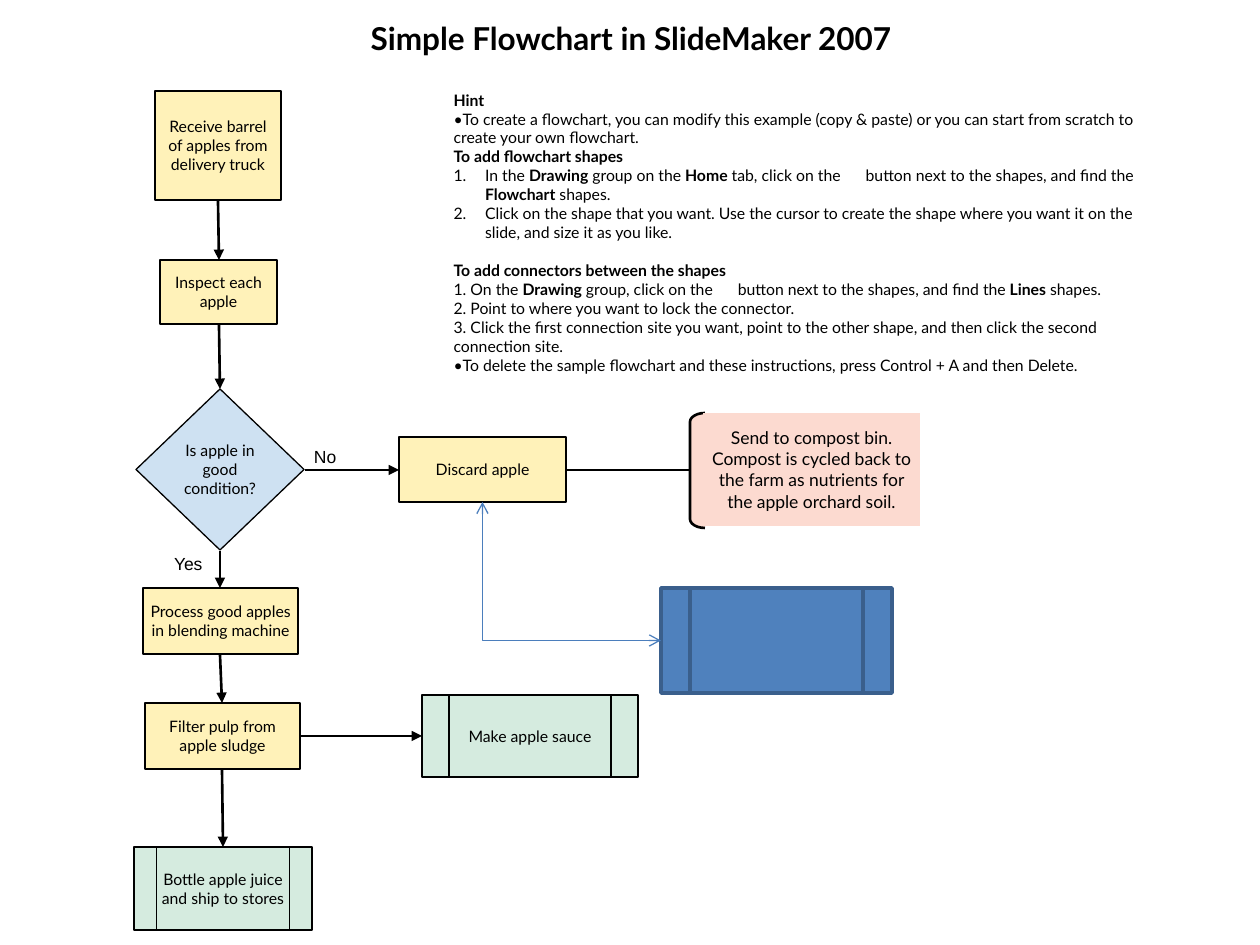
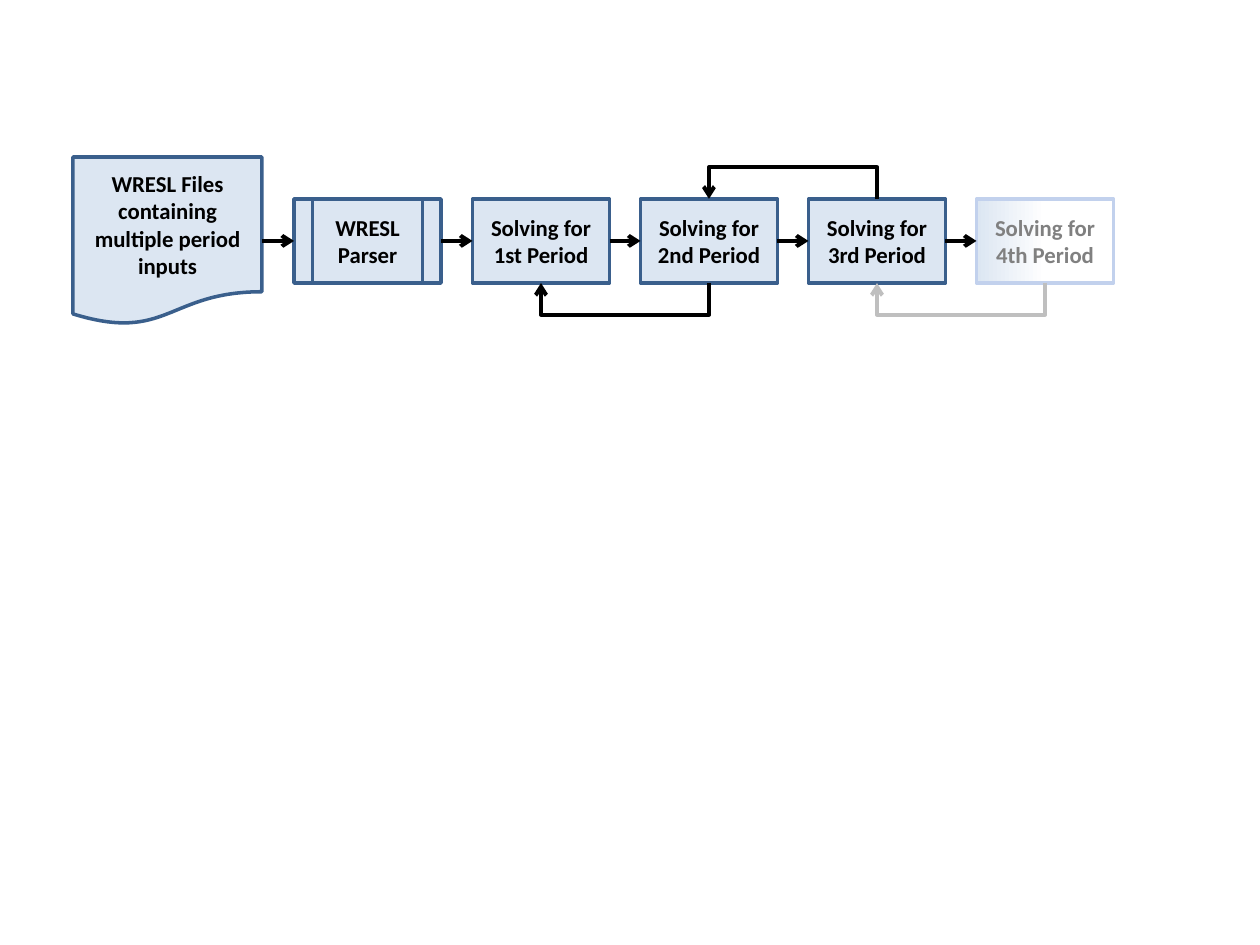
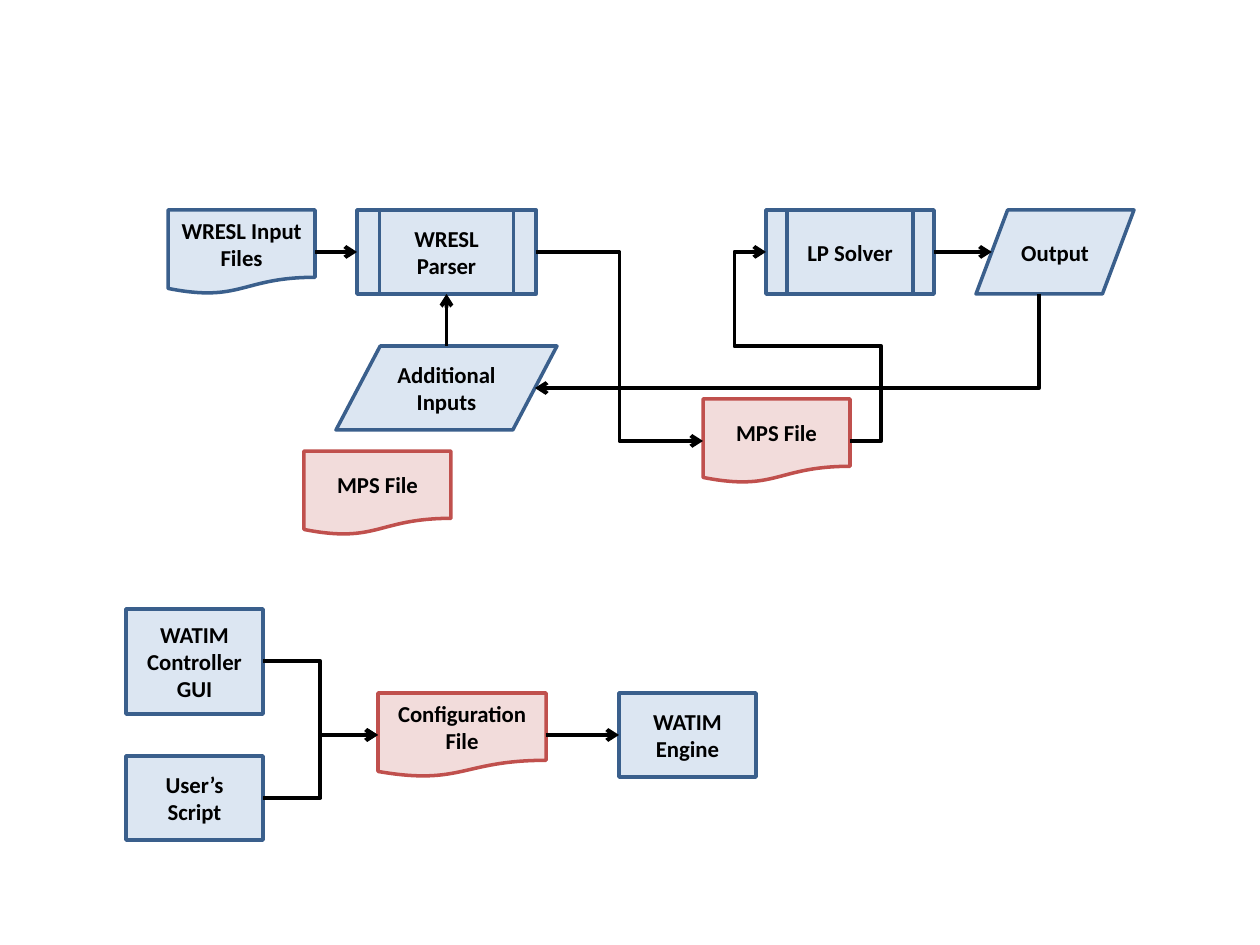
from lxml import etree
from pptx import Presentation, util as u
from pptx.dml.color import RGBColor
from pptx.enum import shapes, text
from pptx.oxml.ns import qn

SCALE = 914400 / 126  # EMU per pixel
SLIVER = 0.2          # thickness of a connector whose ends are level
DETOUR = 32           # how far a loop swings out
KIND = shapes.MSO_SHAPE
COLORS = {
    "black": "000000", "white": "FFFFFF", "grey": "808080", "light grey": "BFBFBF",
    "yellow": "FFF2B9", "green": "D5EBDF", "sky": "CEE1F2", "salmon": "FCDAD0",
    "blue": "4F81BD", "navy": "3A5F8C", "pale blue": "DCE6F2", "faded": "C2D1ED",
    "wire": "4B7EBC", "pink": "F2DCDB", "red": "C0504D",
}
# Connection sites: index, then place as a share of width and height
SITES = {"top": (0, 0.5, 0), "left": (1, 0, 0.5),
         "bottom": (2, 0.5, 1), "right": (3, 1, 0.5)}
SLANTED_SITES = {"top": (1, 0.5, 0), "left": (2, 0.1, 0.5),
                 "bottom": (3, 0.4, 1), "right": (5, 0.9, 0.5)}


def px(*values):
    return [u.Emu(round(value * SCALE)) for value in values]


def rgb(name):
    return RGBColor.from_string(COLORS[name])


def set_font(para, font, size, bold=None, color="black"):
    para.font.name, para.font.size, para.font.bold = font, u.Pt(size), bold
    para.font.color.rgb = rgb(color)


def set_frame(frame, insets, anchor=text.MSO_ANCHOR.MIDDLE):
    frame.word_wrap = True
    frame.auto_size = text.MSO_AUTO_SIZE.NONE
    frame.vertical_anchor = anchor
    (frame.margin_left, frame.margin_top,
     frame.margin_right, frame.margin_bottom) = px(*insets)


def place(item, box):
    item.left, item.top, item.width, item.height = px(*box)


# Shapes and lines

def add_box(page, kind, box, words="", fill="yellow", line="black", weight=0.75,
            font="Lato", size=9, bold=None, color="black", insets=(4, 3, 4, 3)):
    shape = page.shapes.add_shape(kind, *px(*box))
    shape.shadow.inherit = False
    shape.fill.solid()
    shape.fill.fore_color.rgb = rgb(fill)
    if line:
        shape.line.color.rgb = rgb(line)
        shape.line.width = u.Pt(weight)
    else:
        shape.line.fill.background()
    if words:
        set_frame(shape.text_frame, insets)
        para = shape.text_frame.paragraphs[0]
        para.text = words
        para.alignment = text.PP_ALIGN.CENTER
        set_font(para, font, size, bold, color)
    return shape


def add_node(page, kind, box, words, fill="pale blue", line="navy", color="black"):
    return add_box(page, kind, box, words, fill, line, 2, "Calibri", 13, True, color,
                   (12.6, 6.3, 12.6, 6.3))


def add_document(page, box, words):
    return add_node(page, KIND.FLOWCHART_DOCUMENT, box, words, "pink", "red")


def style_line(line, color, weight, head=None, tail=None):
    line.line.color.rgb = rgb(color)
    line.line.width = u.Pt(weight)
    outline = line.line._get_or_add_ln()
    for tag, arrow in (("a:headEnd", head), ("a:tailEnd", tail)):
        if arrow:
            etree.SubElement(outline, qn(tag), type=arrow)
    etree.SubElement(line._element.spPr, qn("a:effectLst"))


def add_line(page, start, end, weight=1.5, tail="triangle"):
    line = page.shapes.add_connector(shapes.MSO_CONNECTOR.STRAIGHT, *px(*start, *end))
    style_line(line, "black", weight, tail=tail)


def find_site(shape, side):
    slanted = shape.auto_shape_type == KIND.FLOWCHART_DATA
    index, across, down = (SLANTED_SITES if slanted else SITES)[side]
    return (index, (shape.left + across * shape.width) / SCALE,
            (shape.top + down * shape.height) / SCALE)


def add_elbow(page, first, out, second, into, preset="bentConnector3", bends=(0.5,),
              color="black", weight=2.25, head=None):
    """Join two shapes; bends are shares of the connector's own length."""
    first_site, x1, y1 = find_site(first, out)
    second_site, x2, y2 = find_site(second, into)
    line = page.shapes.add_connector(shapes.MSO_CONNECTOR.ELBOW, 0, 0, 0, 0)
    frame = line._element.spPr.find(qn("a:xfrm"))
    width, height = abs(x2 - x1), abs(y2 - y1)
    if out in ("top", "bottom"):
        width, height = max(height, SLIVER), width
        frame.set("rot", str((90 if out == "bottom" else 270) * 60000))
        if (x2 > x1) == (out == "bottom"):
            frame.set("flipV", "1")
    else:
        if x2 < x1:
            frame.set("flipH", "1")
        if y2 < y1 - SLIVER:
            frame.set("flipV", "1")
    place(line, ((x1 + x2 - width) / 2, (y1 + y2 - height) / 2, width, height))

    geometry = line._element.spPr.find(qn("a:prstGeom"))
    geometry.set("prst", preset)
    guides = geometry.find(qn("a:avLst"))
    for number, bend in enumerate(bends, 1):
        etree.SubElement(guides, qn("a:gd"), name=f"adj{number}",
                         fmla=f"val {round(bend * 100000)}")
    ends = line._element.find(".//" + qn("p:cNvCxnSpPr"))
    for tag, shape, site in (("a:stCxn", first, first_site),
                             ("a:endCxn", second, second_site)):
        etree.SubElement(ends, qn(tag), id=str(shape.shape_id), idx=str(site))
    style_line(line, color, weight, head, "arrow")


# Slide 1: apple flowchart

def add_title(page, box, words):
    title = page.shapes.title
    place(title, box)
    set_frame(title.text_frame, (6, 5, 6, 5))
    para = title.text_frame.paragraphs[0]
    para.text = words
    para.alignment = text.PP_ALIGN.CENTER
    set_font(para, "Lato", 18, True)


def add_hints(page, box):
    # Stars switch bold on and off, a tilde leaves room for a button
    hints = [
        "*Hint*",
        "•To create a flowchart, you can modify this example (copy & paste) or you can "
        "start from scratch to create your own flowchart.",
        "*To add flowchart shapes*",
        "#In the *Drawing* group on the *Home* tab, click on the~button next to the "
        "shapes, and find the *Flowchart* shapes.",
        "#Click on the shape that you want. Use the cursor to create the shape where you "
        "want it on the slide, and size it as you like.",
        "*To add connectors between the shapes*",
        "1. On the *Drawing* group, click on the~button next to the shapes, and find "
        "the *Lines* shapes.",
        "2. Point to where you want to lock the connector.",
        "3. Click the first connection site you want, point to the other shape, and "
        "then click the second connection site.",
        "•To delete the sample flowchart and these instructions, press Control + A "
        "and then Delete.",
    ]
    body = page.placeholders[1]
    place(body, box)
    frame = body.text_frame
    set_frame(frame, (12.6, 6.3, 12.6, 6.3), text.MSO_ANCHOR.TOP)
    for number, hint in enumerate(hints):
        para = frame.add_paragraph() if number else frame.paragraphs[0]
        para.alignment = text.PP_ALIGN.LEFT
        para.space_before = u.Pt(11 if "connectors between" in hint else 0)
        set_font(para, "Lato", 9)
        numbered = hint.startswith("#")
        layout = para._p.get_or_add_pPr()
        indent = u.Inches(0.25) if numbered else 0
        layout.set("marL", str(indent))
        layout.set("indent", str(-indent))
        if numbered:
            bullet = etree.Element(qn("a:buAutoNum"), type="arabicPeriod")
        else:
            bullet = etree.Element(qn("a:buNone"))
        layout.find(qn("a:defRPr")).addprevious(bullet)
        for turn, chunk in enumerate(hint.lstrip("#").split("*")):
            for part_number, part in enumerate(chunk.split("~")):
                if part_number:
                    gap = para.add_run()
                    gap.text = " "
                    gap.font._element.set("spc", "1200")
                if part:
                    span = para.add_run()
                    span.text = part
                    span.font.bold = turn % 2 == 1


def add_label(page, box, words):
    label = page.shapes.add_textbox(*px(*box))
    set_frame(label.text_frame, (4, 4, 0, 0), text.MSO_ANCHOR.TOP)
    para = label.text_frame.paragraphs[0]
    para.text = words
    set_font(para, "Arial", 10)


def add_apple_chart(page, left, top):
    def at(x, y, *size):
        return (left + x, top + y, *size)

    # Main column
    process, routine = KIND.FLOWCHART_PROCESS, KIND.FLOWCHART_PREDEFINED_PROCESS
    add_box(page, process, at(21, 0, 126, 109),
            "Receive barrel of apples from delivery truck", insets=(6, 6, 6, 6))
    add_box(page, process, at(26, 169, 117, 64), "Inspect each apple")
    add_box(page, KIND.FLOWCHART_DECISION, at(2, 298, 168, 161),
            "Is apple in good condition?", "sky")
    add_box(page, process, at(9, 497, 155, 66), "Process good apples in blending machine")
    add_box(page, process, at(11, 612, 155, 66), "Filter pulp from apple sludge")
    add_box(page, routine, at(0, 756, 178, 83), "Bottle apple juice and ship to stores",
            "green")

    # Side branches
    discard = add_box(page, process, at(265, 346, 167, 65), "Discard apple")
    add_box(page, routine, at(288, 604, 216, 82), "Make apple sauce", "green")
    bracket = add_box(page, KIND.LEFT_BRACKET, at(556, 322, 15, 115),
                      fill="salmon", weight=1.5)
    bracket.adjustments[0] = 0.6
    add_box(page, process, at(569, 322, 217, 113),
            "Send to compost bin. Compost is cycled back to the farm as nutrients "
            "for the apple orchard soil.", "salmon", None, size=10, insets=(4, 4, 4, 4))
    spare = add_box(page, routine, at(527, 497, 231, 105), fill="blue", line="navy",
                    weight=2)

    # Arrows
    for start, end, weight in (
            ((84, 109), (85, 169), 1.5), ((85, 233), (86, 298), 1.5),
            ((86, 460), (86, 497), 0.75), ((86, 563), (88, 612), 1.5),
            ((88, 678), (89, 756), 1.5), ((171, 379), (265, 379), 0.75),
            ((166, 645), (288, 645), 1.5)):
        add_line(page, at(*start), at(*end), weight)
    add_line(page, at(432, 379), at(555, 379), tail=None)
    add_elbow(page, discard, "bottom", spare, "left", "bentConnector2", (),
              "wire", 0.75, "arrow")
    add_label(page, at(176, 351, 50, 25), "No")
    add_label(page, at(36, 458, 43, 25), "Yes")


# Slide 2: chain of periods

def add_period_chain(page, left, top):
    files = add_node(page, KIND.FLOWCHART_DOCUMENT, (left, top, 189, 168),
                     "WRESL Files containing multiple period inputs")
    parser = add_node(page, KIND.FLOWCHART_PREDEFINED_PROCESS,
                      (left + 221, top + 42, 147, 84), "WRESL Parser")
    periods = [add_node(page, KIND.FLOWCHART_PROCESS,
                        (left + 399.5 + 168 * step, top + 42, 137, 84),
                        f"Solving for {name} Period")
               for step, name in enumerate(("1st", "2nd", "3rd", "4th"))]

    # The last period fades out
    faded = periods[-1]
    faded.fill.gradient()
    faded.fill.gradient_angle = 0
    for stop, color, position in zip(faded.fill.gradient_stops,
                                     ("pale blue", "white"), (0, 0.5)):
        stop.color.rgb = rgb(color)
        stop.position = position
    faded.line.color.rgb = rgb("faded")
    faded.text_frame.paragraphs[0].font.color.rgb = rgb("grey")

    chain = [files, parser, *periods]
    for first, second in zip(chain, chain[1:]):
        add_elbow(page, first, "right", second, "left")
    for step, side, color in ((1, "bottom", "black"), (2, "top", "black"),
                              (3, "bottom", "light grey")):
        add_elbow(page, periods[step], side, periods[step - 1], side,
                  bends=(DETOUR / SLIVER,), color=color)


# Slide 3: solver loop and engine set-up

def add_solver_loop(page, left, top):
    def node(kind, x, y, width, words):
        return add_node(page, kind, (left + x, top + y, width, 84), words)

    routine, data = KIND.FLOWCHART_PREDEFINED_PROCESS, KIND.FLOWCHART_DATA
    output = node(data, 808, 0, 158, "Output")
    files = node(KIND.FLOWCHART_DOCUMENT, 0, 0, 147, "WRESL Input Files")
    solver = node(routine, 598, 0, 168, "LP Solver")
    inputs = node(data, 168, 136, 221, "Additional Inputs")
    parser = node(routine, 189, 0, 179, "WRESL Parser")
    model = add_document(page, (left + 535, top + 189, 147, 84), "MPS File")
    add_document(page, (left + 136, top + 241, 147, 84), "MPS File")

    add_elbow(page, parser, "right", model, "left")
    add_elbow(page, model, "right", solver, "left", "bentConnector5",
              (-0.375, 0.5, 1.375))
    add_elbow(page, solver, "right", output, "left")
    add_elbow(page, files, "right", parser, "left")
    add_elbow(page, inputs, "top", parser, "bottom")
    add_elbow(page, output, "bottom", inputs, "right", "bentConnector2", ())


def add_engine_setup(page, left, top):
    process = KIND.FLOWCHART_PROCESS
    controller = add_node(page, process, (left, top, 137, 105), "WATIM Controller GUI")
    script = add_node(page, process, (left, top + 147, 137, 84), "User’s Script")
    config = add_document(page, (left + 252, top + 84, 168, 84), "Configuration File")
    engine = add_node(page, process, (left + 493, top + 84, 137, 84), "WATIM Engine")
    for first, second in ((controller, config), (script, config), (config, engine)):
        add_elbow(page, first, "right", second, "left")


deck = Presentation()
deck.slide_width, deck.slide_height = px(1260, 945)

page = deck.slides.add_slide(deck.slide_layouts[1])
add_title(page, (300, 15, 662, 45), "Simple Flowchart in SlideMaker 2007")
add_hints(page, (441, 84, 708, 315))
add_apple_chart(page, 134, 91)

page = deck.slides.add_slide(deck.slide_layouts[6])
add_period_chain(page, 73, 157)

page = deck.slides.add_slide(deck.slide_layouts[6])
add_solver_loop(page, 168, 210)
add_engine_setup(page, 126, 609)

deck.save("out.pptx")
